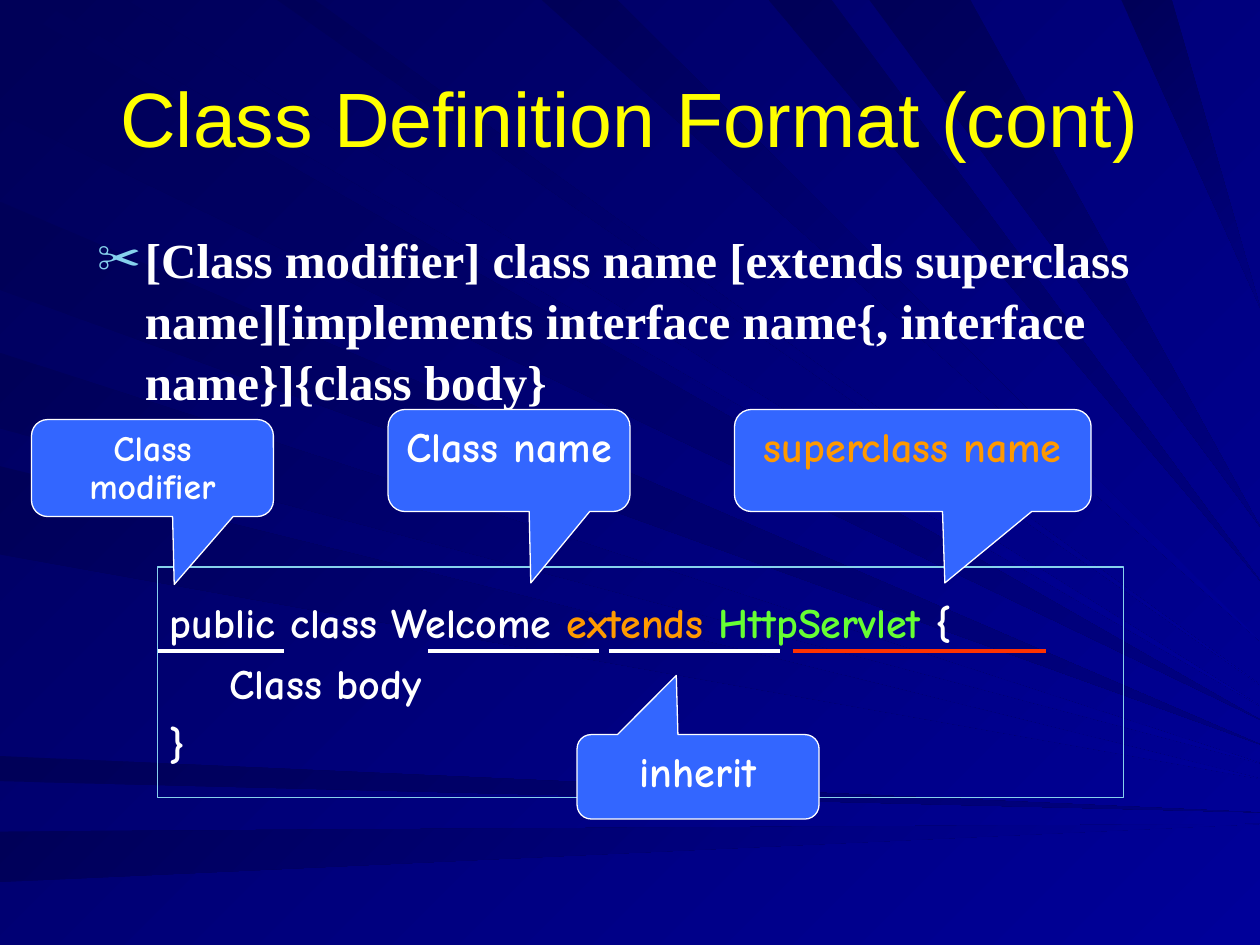
from dataclasses import dataclass

from lxml import etree
from pptx import Presentation
from pptx.dml.color import RGBColor
from pptx.enum.shapes import MSO_CONNECTOR, MSO_SHAPE
from pptx.enum.text import MSO_ANCHOR, MSO_AUTO_SIZE, PP_ALIGN
from pptx.oxml.ns import qn
from pptx.util import Inches, Pt

STRAIGHT = MSO_CONNECTOR.STRAIGHT
CALLOUT = MSO_SHAPE.ROUNDED_RECTANGULAR_CALLOUT
RECTANGLE = MSO_SHAPE.RECTANGLE
TOP, MIDDLE = MSO_ANCHOR.TOP, MSO_ANCHOR.MIDDLE
NO_FIT = MSO_AUTO_SIZE.NONE
LEFT, CENTER = PP_ALIGN.LEFT, PP_ALIGN.CENTER

WHITE = RGBColor(0xFF, 0xFF, 0xFF)
YELLOW = RGBColor(0xFF, 0xFF, 0x00)
ORANGE = RGBColor(0xFF, 0x99, 0x00)
GREEN = RGBColor(0x66, 0xFF, 0x33)
RED = RGBColor(0xFF, 0x33, 0x00)
SKY = RGBColor(0x86, 0xD1, 0xEC)
CALLOUT_BLUE = RGBColor(0x33, 0x66, 0xFF)
DEEP = RGBColor(0x00, 0x00, 0x58)
NAVY = RGBColor(0x00, 0x00, 0x80)
ROYAL = RGBColor(0x00, 0x00, 0x99)

CODE_FONT = "Comic Neue"
UNDERLINE_TOP = 5.17
PAGE_WIDTH = 10
VANISHING_X, VANISHING_Y = 11.5, 6.5


@dataclass
class Ray:
    start: float
    end: float
    color: RGBColor = ROYAL


@dataclass
class Callout:
    text: str
    left: float
    top: float
    width: float
    height: float
    color: RGBColor = WHITE
    size: float = 24
    spacing: float = 1.0
    turn: int = 0


@dataclass
class Underline:
    left: float
    right: float
    color: RGBColor = WHITE


LEFT_RAYS = [
    Ray(0, 0.9, NAVY),
    Ray(1.6, 2.3, NAVY),
    Ray(2.8, 3.4),
    Ray(3.7, 4.4),
    Ray(6, 6.2, NAVY),
    Ray(6.6, 7),
]
TOP_RAYS = [
    Ray(0.3, 1),
    Ray(2.2, 2.5),
    Ray(4.3, 4.9),
    Ray(6.1, 6.6, NAVY),
    Ray(6.9, 7.7, NAVY),
    Ray(8.9, 9.3, NAVY),
]
CALLOUTS = [
    Callout("Class modifier", 0.25, 3.33, 1.92, 0.77, size=20.4, spacing=0.9),
    Callout("Class name", 3.08, 3.25, 1.92, 0.81),
    Callout("superclass name", 5.83, 3.25, 2.83, 0.81, color=ORANGE),
    Callout("inherit", 4.58, 5.83, 1.92, 0.67, turn=180),
]
UNDERLINES = [
    Underline(1.25, 2.25),
    Underline(3.4, 4.75),
    Underline(4.83, 6.19),
    Underline(6.29, 8.3, RED),
]
CODE_LINES = [
    [("public class Welcome ", WHITE), ("extends ", ORANGE), ("HttpServlet", GREEN), (" {", WHITE)],
    [("    Class body", WHITE)],
    [("}", WHITE)],
]


def set_gradient(fill, start: RGBColor, end: RGBColor) -> None:
    fill.gradient()
    fill.gradient_angle = 315
    for stop, color in zip(fill.gradient_stops, (start, end)):
        stop.color.rgb = color


def set_font(para, name: str, size: float, color: RGBColor, bold: bool) -> None:
    para.font.name = name
    para.font.size = Pt(size)
    para.font.color.rgb = color
    para.font.bold = bold


def place(box, left: float, top: float, width: float, height: float) -> None:
    box.left, box.top = Inches(left), Inches(top)
    box.width, box.height = Inches(width), Inches(height)


def draw_ray(group, ray: Ray, from_left: bool) -> None:
    corners = [(0, edge) if from_left else (edge, 0) for edge in (ray.start, ray.end)]
    middle_x, middle_y = (sum(values) / 2 for values in zip(*corners))
    reach = (PAGE_WIDTH - middle_x) / (VANISHING_X - middle_x)
    tip = (PAGE_WIDTH, middle_y + (VANISHING_Y - middle_y) * reach)
    first, *others = [(Inches(x), Inches(y)) for x, y in (*corners, tip)]
    builder = group.shapes.build_freeform(*first)
    builder.add_line_segments(others, close=True)
    shape = builder.convert_to_shape()
    shape.shadow.inherit = False
    shape.line.fill.background()
    set_gradient(shape.fill, DEEP, ray.color)


def draw_background(page) -> None:
    set_gradient(page.background.fill, DEEP, ROYAL)
    group = page.shapes.add_group_shape()
    for rays, from_left in ((LEFT_RAYS, True), (TOP_RAYS, False)):
        for ray in rays:
            draw_ray(group, ray, from_left)
    group._element.getparent().insert(2, group._element)


def write_title(page) -> None:
    title = page.shapes.title
    place(title, 0.5, 0.3, 9, 1.25)
    title.text_frame.text = "Class Definition Format (cont)"
    title.text_frame.auto_size = NO_FIT
    title.text_frame.vertical_anchor = MIDDLE
    para = title.text_frame.paragraphs[0]
    para.alignment = CENTER
    set_font(para, "Arial", 44, YELLOW, False)


def write_body(page) -> None:
    body = page.placeholders[1]
    place(body, 0.67, 1.75, 8.83, 5.75)
    body.text_frame.text = (
        "[Class modifier] class name [extends superclass name]"
        "[implements interface name{, interface name}]{class body}"
    )
    body.text_frame.auto_size = NO_FIT
    para = body.text_frame.paragraphs[0]
    para.space_before = Pt(0)
    para.line_spacing = 1.04
    properties = para._p.get_or_add_pPr()
    properties.set("marL", str(Inches(0.38)))
    properties.set("indent", str(-Inches(0.38)))
    bullet_color = etree.SubElement(properties, qn("a:buClr"))
    etree.SubElement(bullet_color, qn("a:srgbClr"), val=str(SKY))
    etree.SubElement(properties, qn("a:buSzPct"), val="90000")
    etree.SubElement(properties, qn("a:buChar"), char="✂")
    set_font(para, "Times New Roman", 28, WHITE, True)


def draw_code(page) -> None:
    box = page.shapes.add_shape(RECTANGLE, Inches(1.25), Inches(4.5), Inches(7.67), Inches(1.83))
    box.shadow.inherit = False
    box.fill.background()
    box.line.color.rgb = SKY
    box.line.width = Pt(0.75)
    frame = box.text_frame
    frame.word_wrap = False
    frame.vertical_anchor = MIDDLE
    for index, line in enumerate(CODE_LINES):
        para = frame.add_paragraph() if index else frame.paragraphs[0]
        para.alignment = LEFT
        para.space_before = Pt(6 if index else 0)
        set_font(para, CODE_FONT, 24, WHITE, True)
        for text, color in line:
            span = para.add_run()
            span.text = text
            span.font.color.rgb = color


def draw_callout(page, callout: Callout) -> None:
    box = page.shapes.add_shape(CALLOUT, 0, 0, 0, 0)
    place(box, callout.left, callout.top, callout.width, callout.height)
    box.adjustments[0], box.adjustments[1] = 0.09, 1.2
    box.shadow.inherit = False
    box.fill.solid()
    box.fill.fore_color.rgb = CALLOUT_BLUE
    box.line.color.rgb = WHITE
    box.line.width = Pt(0.75)
    frame = box.text_frame
    frame.word_wrap = True
    frame.vertical_anchor = TOP
    if callout.turn:
        box.rotation = callout.turn
        frame._txBody.bodyPr.set("rot", str(callout.turn * 60000))
    para = frame.paragraphs[0]
    para.text = callout.text
    para.alignment = CENTER
    para.line_spacing = callout.spacing
    set_font(para, CODE_FONT, callout.size, callout.color, True)


def draw_underline(page, underline: Underline) -> None:
    top = Inches(UNDERLINE_TOP)
    line = page.shapes.add_connector(STRAIGHT, Inches(underline.left), top, Inches(underline.right), top)
    line.line.color.rgb = underline.color
    line.line.width = Pt(2.25)
    etree.SubElement(line._element.spPr, qn("a:effectLst"))


def main() -> None:
    deck = Presentation()
    deck.slide_width, deck.slide_height = Inches(PAGE_WIDTH), Inches(7.5)
    page = deck.slides.add_slide(deck.slide_layouts[1])
    draw_background(page)
    write_title(page)
    write_body(page)
    draw_code(page)
    for callout in CALLOUTS:
        draw_callout(page, callout)
    for underline in UNDERLINES:
        draw_underline(page, underline)
    deck.save("out.pptx")


if __name__ == "__main__":
    main()
